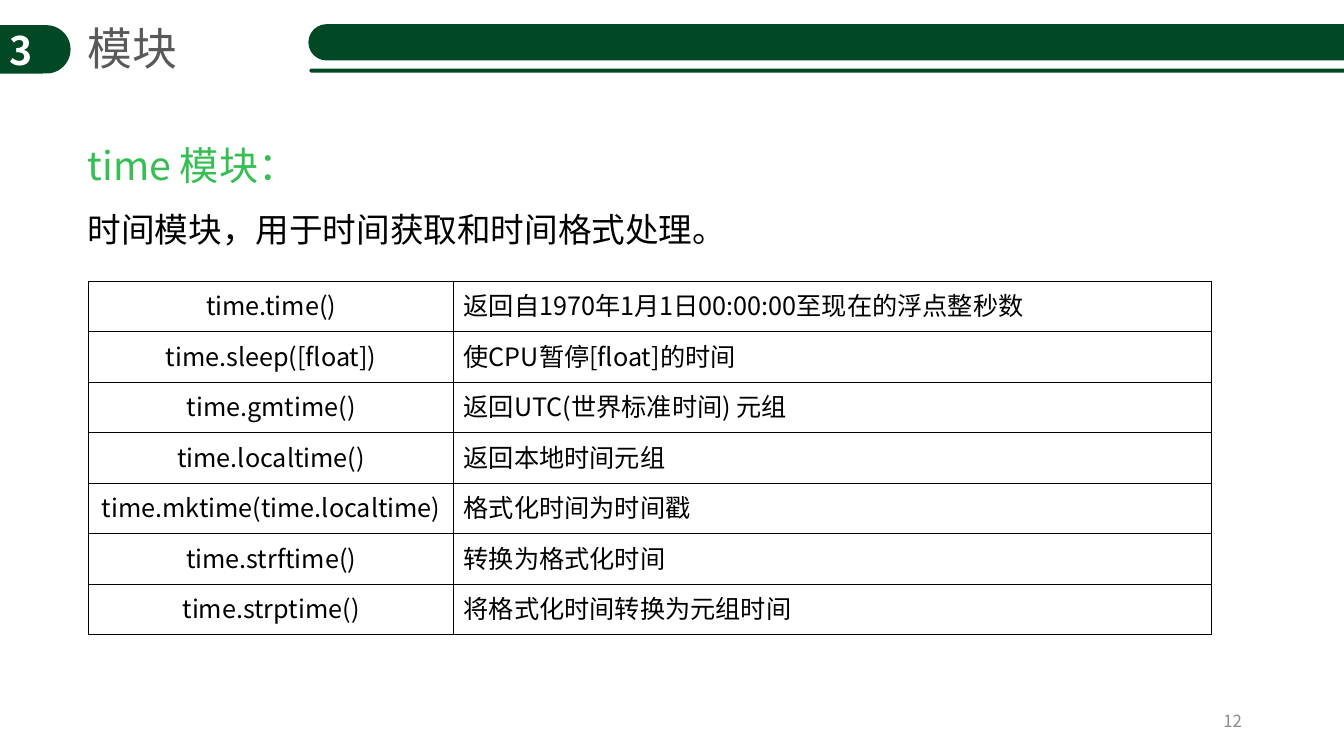
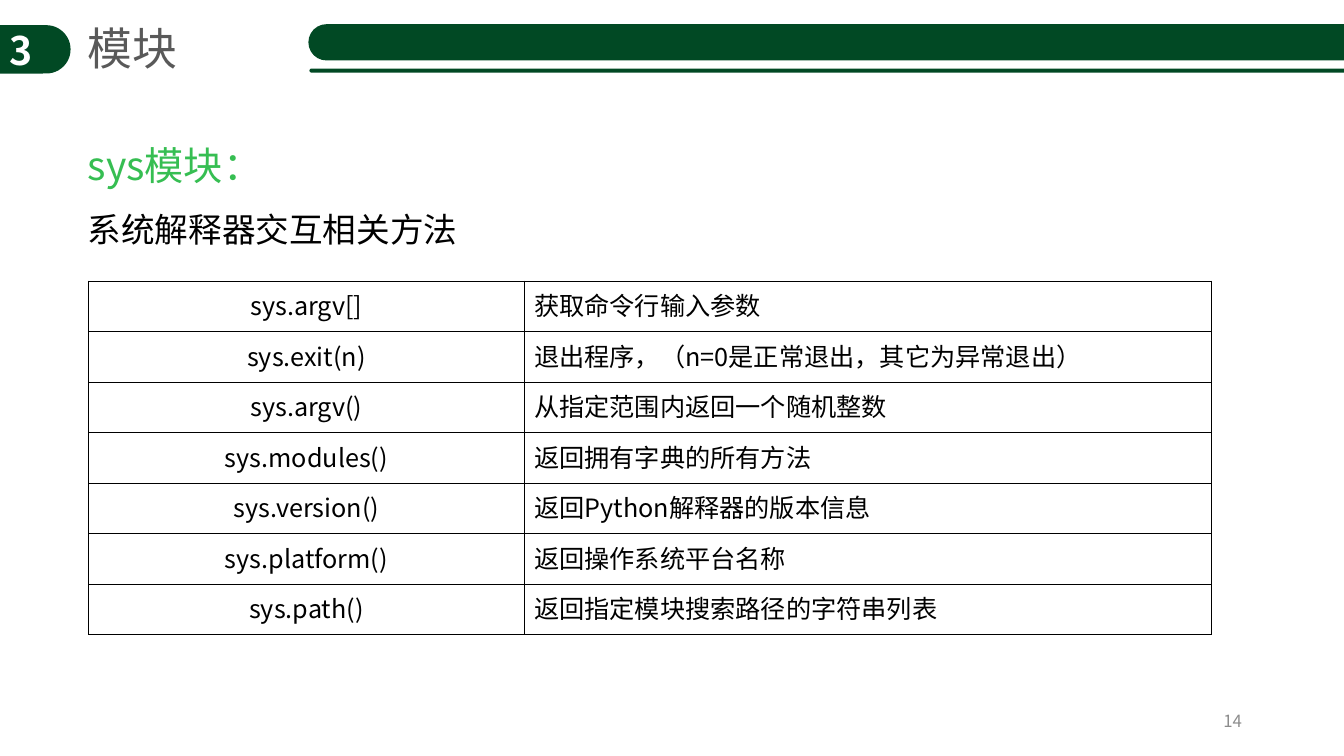
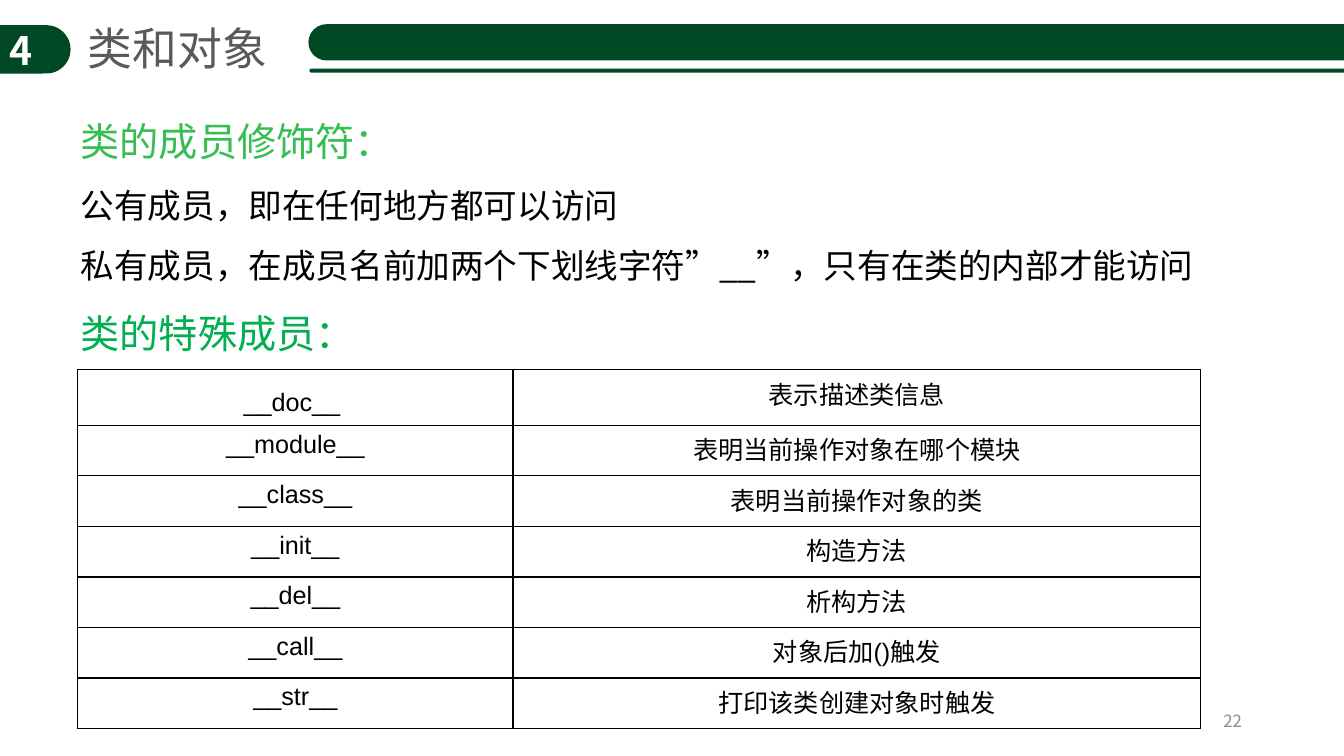
"""Build three Python lecture slides on modules and class members."""
from dataclasses import dataclass

from lxml.etree import SubElement
from pptx import Presentation
from pptx.dml.color import RGBColor
from pptx.enum.shapes import MSO_SHAPE as SHAPE
from pptx.enum.text import MSO_ANCHOR as ANCHOR, MSO_AUTO_SIZE as AUTO, PP_ALIGN as ALIGN
from pptx.oxml.ns import qn
from pptx.util import Inches, Pt

DARK_GREEN = RGBColor(0x01, 0x49, 0x24)
GREEN = RGBColor(0x36, 0xBE, 0x52)
BRIGHT_GREEN = RGBColor(0x00, 0xB0, 0x50)
GRAY = RGBColor(0x59, 0x59, 0x59)
LIGHT_GRAY = RGBColor(0x8C, 0x8C, 0x8C)
BLACK = RGBColor(0, 0, 0)
WHITE = RGBColor(0xFF, 0xFF, 0xFF)

CJK = "Noto Sans CJK SC"
WIDTH, HEIGHT = Inches(40 / 3), Inches(7.5)
TABLE_WIDTH, TABLE_HEIGHT = 83.55, 46.8
TABLE_GRID_STYLE = "{5940675A-B579-460E-94D1-54222C63F5DA}"


@dataclass(frozen=True)
class Box:
    """Position and size in percent of the slide."""
    x: float
    y: float
    w: float
    h: float

    def emu(self) -> tuple[int, int, int, int]:
        return (round(self.x * WIDTH / 100), round(self.y * HEIGHT / 100),
                round(self.w * WIDTH / 100), round(self.h * HEIGHT / 100))


@dataclass(frozen=True)
class Style:
    """Look of one run of text."""
    size: float
    color: RGBColor
    latin: str = CJK
    bold: bool = False


@dataclass(frozen=True)
class Grid:
    """Two-column table of names and meanings."""
    x: float
    y: float
    name_width: float
    rows: list[tuple[str, str]]
    latin: str = CJK
    meaning_align: ALIGN = ALIGN.LEFT
    first_spacing: float = 1.0


@dataclass(frozen=True)
class Page:
    """Content of one slide."""
    chapter: str
    title: str
    title_width: float
    number: str
    body_box: Box
    body_wrap: bool
    body: list[tuple[str, Style]]
    grid: Grid


BADGE = Box(-2.1, 3.33, 7.35, 6.4)
BANDS = [Box(22.95, 3.2, 81, 4.8), Box(23.03, 9.07, 81, 0.53)]
NUMBER = Box(70.65, 92.67, 22.5, 5.33)
HEADING = Style(28, GREEN)
HEADING_2 = Style(28, BRIGHT_GREEN)
TEXT = Style(24, BLACK)

PAGES = [
    Page("3", "模块", 8.25, "12", Box(5.78, 14.93, 49.5, 17.87), False,
         [("time 模块：", HEADING),
          ("时间模块，用于时间获取和时间格式处理。", TEXT)],
         Grid(6.6, 37.2, 27.15, [
             ("time.time()", "返回自1970年1月1日00:00:00至现在的浮点整秒数"),
             ("time.sleep([float])", "使CPU暂停[float]的时间"),
             ("time.gmtime()", "返回UTC(世界标准时间) 元组"),
             ("time.localtime()", "返回本地时间元组"),
             ("time.mktime(time.localtime)", "格式化时间为时间戳"),
             ("time.strftime()", "转换为格式化时间"),
             ("time.strptime()", "将格式化时间转换为元组时间")])),
    Page("3", "模块", 8.25, "14", Box(5.78, 14.93, 29.25, 17.87), False,
         [("sys模块：", HEADING),
          ("系统解释器交互相关方法", TEXT)],
         Grid(6.6, 37.2, 32.4, [
             ("sys.argv[]", "获取命令行输入参数"),
             ("sys.exit(n)", "退出程序，（n=0是正常退出，其它为异常退出）"),
             ("sys.argv()", "从指定范围内返回一个随机整数"),
             ("sys.modules()", "返回拥有字典的所有方法"),
             ("sys.version()", "返回Python解释器的版本信息"),
             ("sys.platform()", "返回操作系统平台名称"),
             ("sys.path()", "返回指定模块搜索路径的字符串列表")])),
    Page("4", "类和对象", 15, "22", Box(5.25, 11.73, 92.02, 35.2), True,
         [("类的成员修饰符：", HEADING),
          ("公有成员，即在任何地方都可以访问", TEXT),
          ("私有成员，在成员名前加两个下划线字符”__”，只有在类的内部才能访问", TEXT),
          ("类的特殊成员：", HEADING_2)],
         Grid(5.78, 48.93, 32.4, [
             ("__doc__ ", "表示描述类信息"),
             ("__module__", "表明当前操作对象在哪个模块"),
             ("__class__", "表明当前操作对象的类"),
             ("__init__", "构造方法"),
             ("__del__", "析构方法"),
             ("__call__", "对象后加()触发"),
             ("__str__", "打印该类创建对象时触发")],
             "Arial", ALIGN.CENTER, 1.5)),
]


def add_run(p, text: str, style: Style) -> None:
    r = p.add_run()
    r.text = text
    f = r.font
    f.size, f.bold, f.name = Pt(style.size), style.bold, style.latin
    f.color.rgb = style.color
    SubElement(r._r.get_or_add_rPr(), qn("a:ea"), typeface=CJK)


def write(p, text: str, style: Style, align: ALIGN = ALIGN.LEFT,
          spacing: float = 1.0) -> None:
    p.alignment, p.line_spacing = align, spacing
    p.space_before = p.space_after = Pt(0)
    add_run(p, text, style)


def place(sp, box: Box) -> None:
    sp.left, sp.top, sp.width, sp.height = box.emu()


def set_frame(tf, wrap: bool, anchor: ANCHOR, auto: AUTO) -> None:
    tf.word_wrap, tf.vertical_anchor, tf.auto_size = wrap, anchor, auto


def add_pill(shapes, box: Box):
    sp = shapes.add_shape(SHAPE.ROUNDED_RECTANGLE, *box.emu())
    sp.adjustments[0] = 0.5
    sp.shadow.inherit = False
    sp.fill.solid()
    sp.fill.fore_color.rgb = DARK_GREEN
    sp.line.fill.background()
    return sp


def add_frame(s, page: Page) -> None:
    tf = add_pill(s.shapes, BADGE).text_frame
    set_frame(tf, True, ANCHOR.MIDDLE, AUTO.NONE)
    write(tf.paragraphs[0], page.chapter, Style(28, WHITE, bold=True), ALIGN.CENTER)

    title = s.shapes.title
    place(title, Box(5.78, 2.13, page.title_width, 8.53))
    set_frame(title.text_frame, False, ANCHOR.TOP, AUTO.SHAPE_TO_FIT_TEXT)
    write(title.text_frame.paragraphs[0], page.title, Style(32, GRAY))

    bands = s.shapes.add_group_shape()
    for box in BANDS:
        add_pill(bands.shapes, box)

    tf = s.shapes.add_textbox(*NUMBER.emu()).text_frame
    set_frame(tf, True, ANCHOR.MIDDLE, AUTO.NONE)
    write(tf.paragraphs[0], page.number, Style(12, LIGHT_GRAY), ALIGN.RIGHT)


def add_body(s, page: Page) -> None:
    sp = s.placeholders[1]
    place(sp, page.body_box)
    tf = sp.text_frame
    set_frame(tf, page.body_wrap, ANCHOR.TOP, AUTO.SHAPE_TO_FIT_TEXT)
    for i, (text, style) in enumerate(page.body):
        p = tf.add_paragraph() if i else tf.paragraphs[0]
        write(p, text, style, spacing=1.5)
        pPr = p._p.get_or_add_pPr()
        pPr.set("marL", "0")
        pPr.set("indent", "0")
        SubElement(pPr, qn("a:buNone"))


def set_borders(cell) -> None:
    tcPr = cell._tc.get_or_add_tcPr()
    for side in ("lnL", "lnR", "lnT", "lnB"):
        ln = SubElement(tcPr, qn(f"a:{side}"), w=str(Pt(1)))
        fill = SubElement(ln, qn("a:solidFill"))
        SubElement(fill, qn("a:srgbClr"), val=str(BLACK))


def add_grid(s, grid: Grid) -> None:
    box = Box(grid.x, grid.y, TABLE_WIDTH, TABLE_HEIGHT)
    table = s.shapes.add_table(len(grid.rows), 2, *box.emu()).table
    table.first_row = table.horz_banding = False
    table._tbl.tblPr.find(qn("a:tableStyleId")).text = TABLE_GRID_STYLE
    widths = (grid.name_width, TABLE_WIDTH - grid.name_width)
    for col, width in zip(table.columns, widths):
        col.width = round(width * WIDTH / 100)
    style = Style(18, BLACK, grid.latin)
    aligns = (ALIGN.CENTER, grid.meaning_align)
    for i, texts in enumerate(grid.rows):
        for j, (text, align) in enumerate(zip(texts, aligns)):
            cell = table.cell(i, j)
            set_borders(cell)
            cell.fill.background()
            spacing = grid.first_spacing if i == j == 0 else 1.0
            write(cell.text_frame.paragraphs[0], text, style, align, spacing)


def main() -> None:
    prs = Presentation()
    prs.slide_width, prs.slide_height = WIDTH, HEIGHT
    for page in PAGES:
        s = prs.slides.add_slide(prs.slide_layouts[1])
        add_frame(s, page)
        add_body(s, page)
        add_grid(s, page.grid)
    prs.save("out.pptx")


if __name__ == "__main__":
    main()
